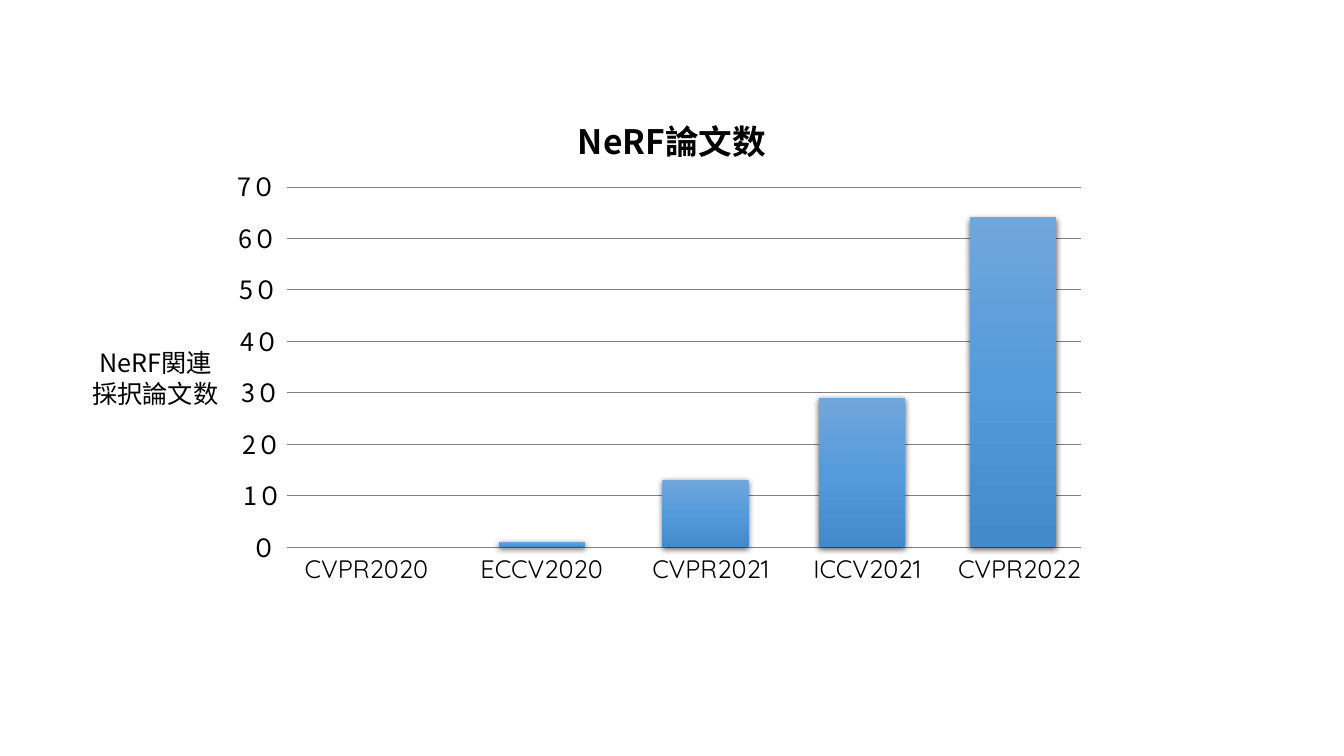
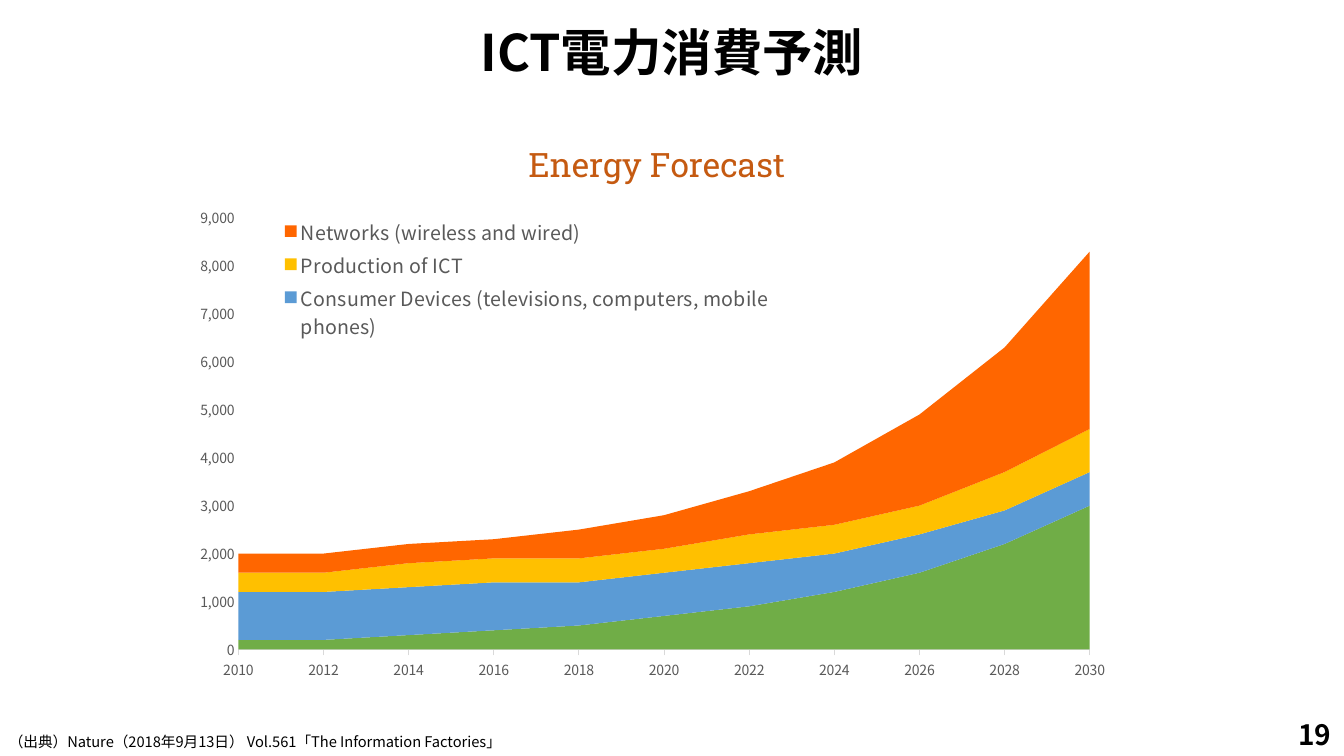
from dataclasses import dataclass

from lxml import etree
from pptx import Presentation
from pptx.chart.data import CategoryChartData
from pptx.dml.color import RGBColor
from pptx.enum.chart import XL_CHART_TYPE, XL_LEGEND_POSITION, XL_TICK_MARK
from pptx.enum.shapes import MSO_CONNECTOR, MSO_SHAPE
from pptx.enum.text import MSO_ANCHOR, MSO_AUTO_SIZE, PP_ALIGN
from pptx.oxml.ns import qn
from pptx.util import Pt

AREA_STACKED = XL_CHART_TYPE.AREA_STACKED
LEGEND_RIGHT = XL_LEGEND_POSITION.RIGHT
TICK_NONE, TICK_OUT = XL_TICK_MARK.NONE, XL_TICK_MARK.OUTSIDE
STRAIGHT = MSO_CONNECTOR.STRAIGHT
RECTANGLE = MSO_SHAPE.RECTANGLE
MIDDLE = MSO_ANCHOR.MIDDLE
NO_AUTOFIT = MSO_AUTO_SIZE.NONE
LEFT, CENTER = PP_ALIGN.LEFT, PP_ALIGN.CENTER

EMU_PER_PX = 9525
SLIDE_WIDTH, SLIDE_HEIGHT = 1280, 720
TITLE_ONLY = 5


@dataclass(frozen=True)
class Theme:
    body_font: str = "Noto Sans CJK JP"
    venue_font: str = "Quicksand"
    chart_title_font: str = "Roboto Slab"
    ink: str = "000000"
    muted: str = "595959"
    grid: str = "808080"
    axis: str = "D9D9D9"
    chart_title: str = "C55A11"
    bar_gradient: tuple[str, ...] = ("71A6DB", "559BDB", "448ACA")
    title_size: float = 36
    heading_size: float = 24
    page_size: float = 20
    label_size: float = 18
    legend_size: float = 14
    source_size: float = 10.5
    axis_size: float = 10


@dataclass(frozen=True)
class Box:
    left: int
    top: int
    width: int
    height: int

    def emu(self) -> tuple[int, ...]:
        return tuple(px(v) for v in (self.left, self.top, self.width, self.height))


@dataclass(frozen=True)
class Venue:
    name: str
    papers: int
    label_center: int
    bar_center: int


@dataclass(frozen=True)
class Consumer:
    name: str
    color: str
    values: tuple[int, ...]


THEME = Theme()

# Paper count graph: baseline, distance between gridlines, extent
BASELINE, GRID_STEP, GRID_COUNT = 521, 49, 8
GRID_LEFT, GRID_RIGHT = 273, 1030
BAR_WIDTH = 82
VENUES = (
    Venue("CVPR2020", 0, 349, 349),
    Venue("ECCV2020", 1, 516, 516),
    Venue("CVPR2021", 13, 677, 672),
    Venue("ICCV2021", 29, 826, 821),
    Venue("CVPR2022", 64, 971, 965),
)

# Energy forecast, from the bottom layer (unnamed) to the top one
YEARS = [str(year) for year in range(2010, 2031, 2)]
CONSUMERS = (
    Consumer("", "70AD47",
             (200, 200, 300, 400, 500, 700, 900, 1200, 1600, 2200, 3000)),
    Consumer("Consumer Devices (televisions, computers, mobile phones)", "5B9BD5",
             (1000, 1000, 1000, 1000, 900, 900, 900, 800, 800, 700, 700)),
    Consumer("Production of ICT", "FFC000",
             (400, 400, 500, 500, 500, 500, 600, 600, 600, 800, 900)),
    Consumer("Networks (wireless and wired)", "FF6600",
             (400, 400, 400, 400, 600, 700, 900, 1300, 1900, 2600, 3700)),
)


def px(length: int) -> int:
    return length * EMU_PER_PX


def rgb(color: str) -> RGBColor:
    return RGBColor.from_string(color)


def style_font(font, size: float, color: str, name: str, bold: bool = False) -> None:
    font.size, font.bold, font.name = Pt(size), bold, name
    font.color.rgb = rgb(color)


# Text
def fill_text(frame, lines: tuple[str, ...], size: float, font: str,
              bold: bool, align) -> None:
    frame.word_wrap = True
    frame.auto_size = NO_AUTOFIT
    frame.vertical_anchor = MIDDLE
    for number, line in enumerate(lines):
        paragraph = frame.paragraphs[0] if number == 0 else frame.add_paragraph()
        paragraph.text = line
        paragraph.alignment = align
        style_font(paragraph.font, size, THEME.ink, font, bold)
        east_asian = etree.SubElement(paragraph.font._element, qn("a:ea"))
        east_asian.set("typeface", font)


def add_text(slide, box: Box, *lines: str, size: float = THEME.label_size,
             font: str = THEME.body_font, bold: bool = False, align=CENTER) -> None:
    frame = slide.shapes.add_textbox(*box.emu()).text_frame
    fill_text(frame, lines, size, font, bold, align)


def add_titled_slide(prs, title: str, box: Box, size: float):
    slide = prs.slides.add_slide(prs.slide_layouts[TITLE_ONLY])
    heading = slide.shapes.title
    heading.left, heading.top, heading.width, heading.height = box.emu()
    fill_text(heading.text_frame, (title,), size, THEME.body_font, True, CENTER)
    return slide


# Parts of the paper count graph
def add_gridline(slide, y: int) -> None:
    line = slide.shapes.add_connector(
        STRAIGHT, px(GRID_LEFT), px(y), px(GRID_RIGHT), px(y))
    line.line.color.rgb = rgb(THEME.grid)
    line.line.width = Pt(0.5)
    etree.SubElement(line._element.spPr, qn("a:effectLst"))


def add_bar(slide, venue: Venue) -> None:
    height = round(venue.papers * GRID_STEP / 10)
    box = Box(venue.bar_center - BAR_WIDTH // 2, BASELINE - height, BAR_WIDTH, height)
    bar = slide.shapes.add_shape(RECTANGLE, *box.emu())
    bar.line.fill.background()
    bar.fill.gradient()
    bar.fill.gradient_angle = 270
    properties = bar._element.spPr

    # Three evenly spaced gradient stops
    stops = properties.find(".//" + qn("a:gsLst"))
    for stop in list(stops):
        stops.remove(stop)
    last = len(THEME.bar_gradient) - 1
    for number, color in enumerate(THEME.bar_gradient):
        stop = etree.SubElement(stops, qn("a:gs"), pos=str(100000 * number // last))
        etree.SubElement(stop, qn("a:srgbClr"), val=color)

    # Soft shadow below
    bar.shadow.inherit = False
    shadow = etree.SubElement(
        properties.find(qn("a:effectLst")), qn("a:outerShdw"),
        blurRad=str(Pt(4.5)), dist=str(Pt(1.5)), dir="5400000", rotWithShape="0")
    shade = etree.SubElement(shadow, qn("a:srgbClr"), val=THEME.ink)
    etree.SubElement(shade, qn("a:alpha"), val="63000")


def build_paper_count(prs) -> None:
    slide = add_titled_slide(prs, "NeRF論文数", Box(458, 110, 364, 48),
                             THEME.heading_size)
    for step in range(GRID_COUNT):
        y = BASELINE - step * GRID_STEP
        add_gridline(slide, y)
        add_text(slide, Box(218 - step, y - 19, 67, 38), f"{step or ''}０")
    for venue in VENUES:
        add_text(slide, Box(venue.label_center - 92, 522, 184, 38), venue.name,
                 font=THEME.venue_font)
        if venue.papers:
            add_bar(slide, venue)
    add_text(slide, Box(56, 326, 184, 68), "NeRF関連", "採択論文数")


# Parts of the energy forecast
def place_part(part, index: int, inner: bool = False, **fractions: float) -> None:
    """Gives a chart part a fixed place, in fractions of the chart."""
    old = part.find(qn("c:layout"))
    if old is not None:
        part.remove(old)
    layout = etree.Element(qn("c:layout"))
    part.insert(index, layout)
    manual = etree.SubElement(layout, qn("c:manualLayout"))
    if inner:
        etree.SubElement(manual, qn("c:layoutTarget"), val="inner")
    for side in ("x", "y"):
        etree.SubElement(manual, qn(f"c:{side}Mode"), val="edge")
    for key, fraction in fractions.items():
        etree.SubElement(manual, qn(f"c:{key}"), val=str(fraction))


def style_axes(chart) -> None:
    for axis in (chart.category_axis, chart.value_axis):
        axis.has_major_gridlines = False
        axis.minor_tick_mark = TICK_NONE
        style_font(axis.tick_labels.font, THEME.axis_size, THEME.muted, THEME.body_font)
    years, energy = chart.category_axis, chart.value_axis
    years.major_tick_mark = TICK_OUT
    years.format.line.color.rgb = rgb(THEME.axis)
    years.format.line.width = Pt(0.75)
    energy.major_tick_mark = TICK_NONE
    energy.format.line.fill.background()
    energy.minimum_scale, energy.maximum_scale, energy.major_unit = 0, 9000, 1000
    energy.tick_labels.number_format = "#,##0"
    energy.tick_labels.number_format_is_linked = False
    energy._element.find(qn("c:crossBetween")).set("val", "midCat")


def style_legend(chart) -> None:
    chart.has_legend = True
    legend = chart.legend
    legend.position = LEGEND_RIGHT
    legend.include_in_layout = True
    style_font(legend.font, THEME.legend_size, THEME.muted, THEME.body_font)
    place_part(legend._element, 1, x=0.09, y=0.17, w=0.55, h=0.23)
    # The unnamed bottom layer has no legend entry
    entry = etree.Element(qn("c:legendEntry"))
    etree.SubElement(entry, qn("c:idx"), val="0")
    etree.SubElement(entry, qn("c:delete"), val="1")
    legend._element.insert(1, entry)


def add_forecast_chart(slide, box: Box) -> None:
    data = CategoryChartData(number_format="#,##0")
    data.categories = YEARS
    for consumer in CONSUMERS:
        data.add_series(consumer.name, consumer.values)
    chart = slide.shapes.add_chart(AREA_STACKED, *box.emu(), data).chart
    style_font(chart.font, THEME.axis_size, THEME.ink, THEME.body_font)

    chart.has_title = True
    heading = chart.chart_title.text_frame.paragraphs[0]
    heading.text = "Energy Forecast"
    style_font(heading.font, THEME.heading_size, THEME.chart_title,
               THEME.chart_title_font)
    place_part(chart.chart_title._element, 1, x=0.36, y=0.03)

    for layer, consumer in zip(chart.plots[0].series, CONSUMERS):
        layer.format.fill.solid()
        layer.format.fill.fore_color.rgb = rgb(consumer.color)
        layer.format.line.fill.background()
    style_axes(chart)
    style_legend(chart)
    plot_area = chart._chartSpace.find(".//" + qn("c:plotArea"))
    place_part(plot_area, 0, inner=True, x=0.06, y=0.18, w=0.9, h=0.75)


def build_energy_forecast(prs) -> None:
    slide = add_titled_slide(prs, "ICT電力消費予測", Box(0, 15, SLIDE_WIDTH, 68),
                             THEME.title_size)
    add_forecast_chart(slide, Box(173, 109, 901, 548))
    add_text(slide, Box(-1, 693, 656, 27),
             "（出典）Nature（2018年9月13日） Vol.561「The Information Factories」",
             size=THEME.source_size, align=LEFT)
    add_text(slide, Box(1224, 678, 56, 42), "19", size=THEME.page_size, bold=True)


def main() -> None:
    prs = Presentation()
    prs.slide_width, prs.slide_height = px(SLIDE_WIDTH), px(SLIDE_HEIGHT)
    build_paper_count(prs)
    build_energy_forecast(prs)
    prs.save("out.pptx")


if __name__ == "__main__":
    main()
